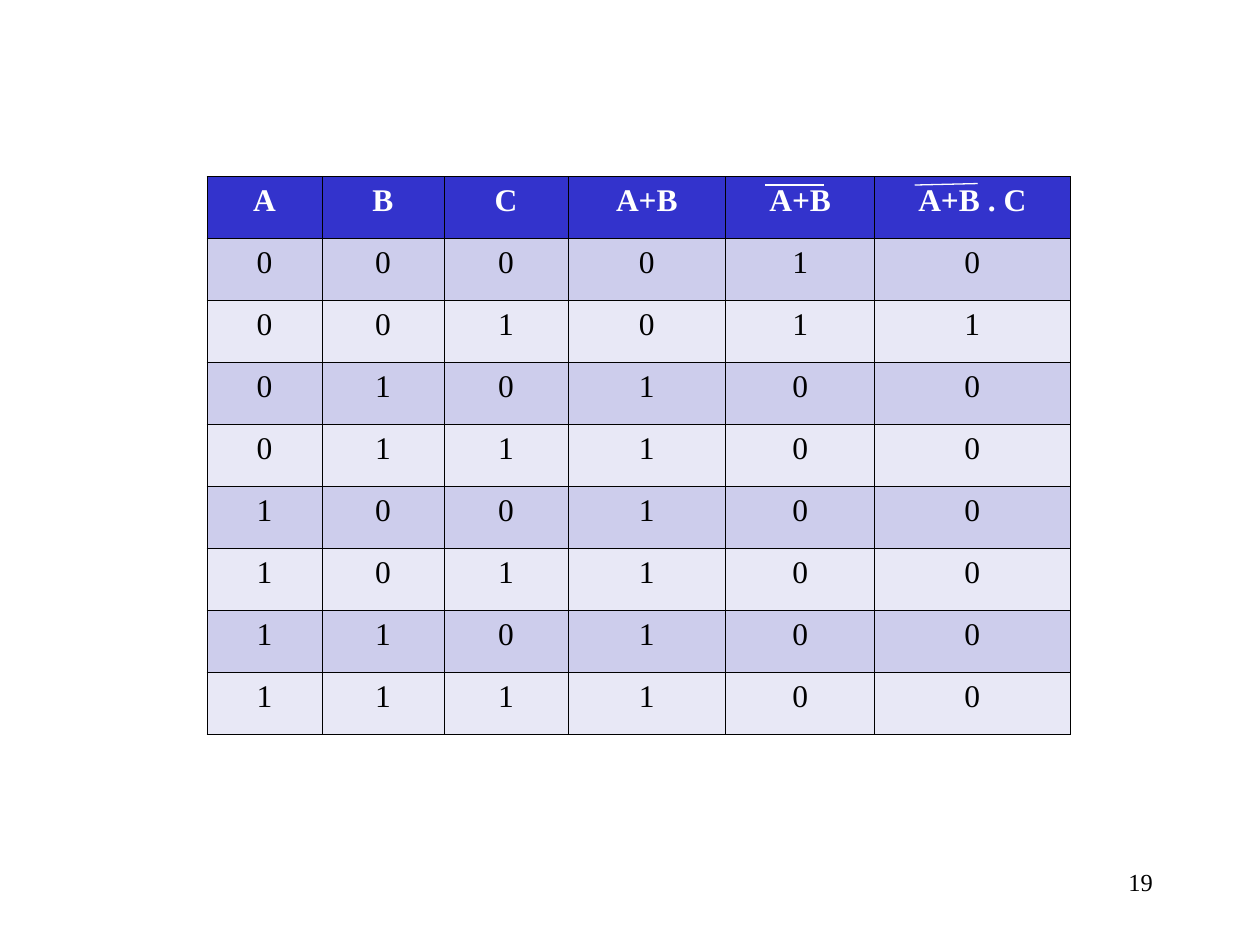
import itertools

import lxml.etree
import pptx
import pptx.dml.color
import pptx.enum.shapes
import pptx.enum.text
import pptx.oxml.ns
import pptx.util

Cm = pptx.util.Cm
Pt = pptx.util.Pt
qn = pptx.oxml.ns.qn
RGB = pptx.dml.color.RGBColor.from_string

COLORS = {
    "header": "3333CC",
    "band_dark": "CDCDEC",
    "band_light": "E8E8F6",
    "white": "FFFFFF",
    "black": "000000",
}


def add_text(paragraph, text, size, color, align, bold=False):
    paragraph.alignment = align
    run = paragraph.add_run()
    run.text = text
    run.font.name = "Times New Roman"
    run.font.size = Pt(size)
    run.font.bold = bold
    run.font.color.rgb = RGB(COLORS[color])


def add_borders(cell):
    properties = cell._tc.get_or_add_tcPr()
    for side in ("a:lnL", "a:lnR", "a:lnT", "a:lnB"):
        border = lxml.etree.SubElement(properties, qn(side), w=str(Pt(0.45)))
        fill = lxml.etree.SubElement(border, qn("a:solidFill"))
        lxml.etree.SubElement(fill, qn("a:srgbClr"), val=COLORS["black"])


presentation = pptx.Presentation()
presentation.slide_width = Cm(25.4)
presentation.slide_height = Cm(19.05)
slide = presentation.slides.add_slide(presentation.slide_layouts[6])

# Page number
page_number = slide.shapes.add_textbox(Cm(18.21), Cm(17.35), Cm(5.28), Cm(1.27))
page_number.text_frame.word_wrap = True
add_text(page_number.text_frame.paragraphs[0], "19", 14, "black",
         pptx.enum.text.PP_ALIGN.RIGHT)

# Truth table values
truth_rows = [["A", "B", "C", "A+B", "A+B", "A+B . C"]]
for a, b, c in itertools.product((0, 1), repeat=3):
    a_or_b = a | b
    nor = 1 - a_or_b
    truth_rows.append([str(value) for value in (a, b, c, a_or_b, nor, nor & c)])

# Truth table
column_widths = [2.32, 2.46, 2.5, 3.18, 3, 3.94]
row_height = 1.25
truth_table = slide.shapes.add_table(
    len(truth_rows), len(column_widths), Cm(4.17), Cm(3.56),
    Cm(sum(column_widths)), Cm(row_height * len(truth_rows))).table
for column, width in zip(truth_table.columns, column_widths):
    column.width = Cm(width)

for row_index, values in enumerate(truth_rows):
    truth_table.rows[row_index].height = Cm(row_height)
    is_header = row_index == 0
    if is_header:
        background = "header"
    else:
        background = "band_dark" if row_index % 2 else "band_light"
    for column_index, value in enumerate(values):
        cell = truth_table.cell(row_index, column_index)
        add_borders(cell)
        cell.fill.solid()
        cell.fill.fore_color.rgb = RGB(COLORS[background])
        add_text(cell.text_frame.paragraphs[0], value, 18,
                 "white" if is_header else "black",
                 pptx.enum.text.PP_ALIGN.CENTER, bold=is_header)

# Negation bars over A+B in the last two headings
for x1, y1, x2, y2 in [(15.42, 3.73, 16.61, 3.73), (18.44, 3.73, 19.71, 3.7)]:
    negation_bar = slide.shapes.add_connector(
        pptx.enum.shapes.MSO_CONNECTOR.STRAIGHT, Cm(x1), Cm(y1), Cm(x2), Cm(y2))
    negation_bar.line.color.rgb = RGB(COLORS["white"])
    negation_bar.line.width = Pt(0.75)
    lxml.etree.SubElement(negation_bar._element.spPr, qn("a:effectLst"))

presentation.save("out.pptx")
